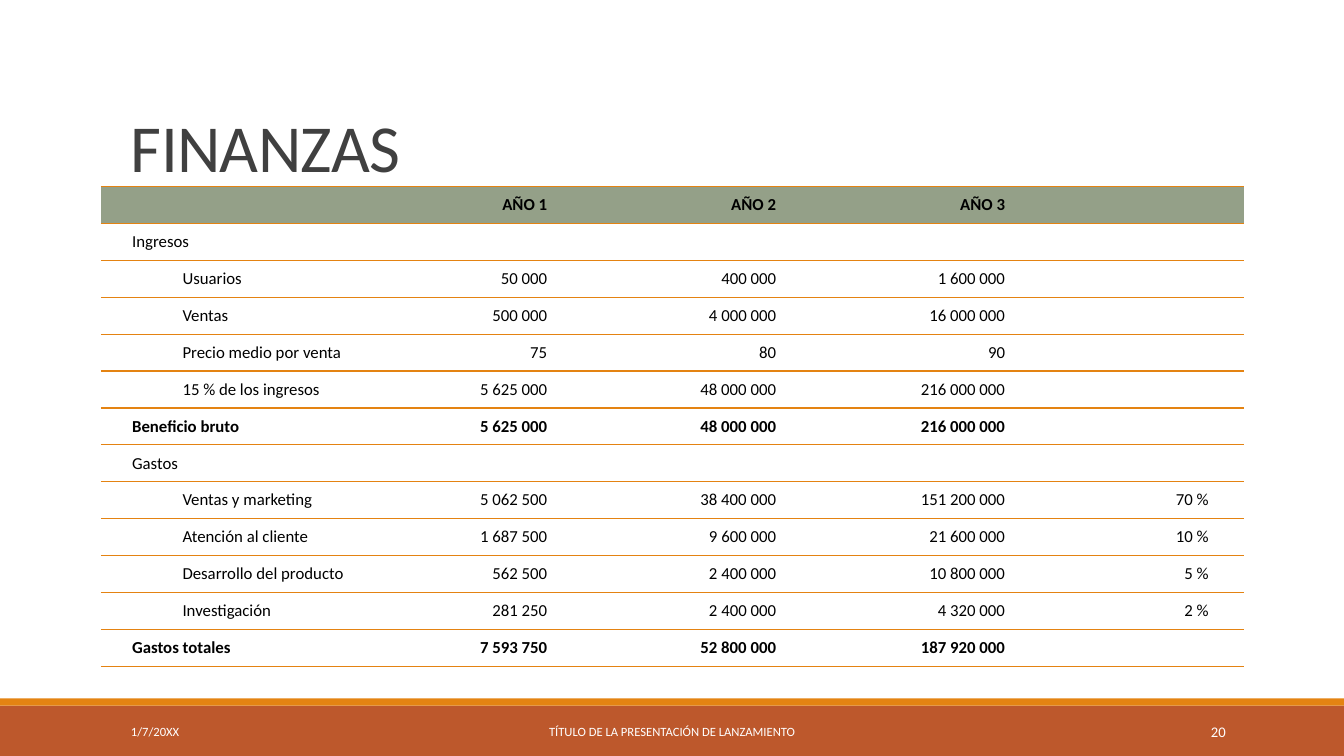
"""Build the three-year finance table slide."""
from dataclasses import dataclass

from lxml.etree import SubElement
from pptx import Presentation
from pptx.dml.color import RGBColor
from pptx.enum.shapes import MSO_SHAPE
from pptx.enum.text import MSO_ANCHOR as ANCHOR, PP_ALIGN as ALIGN
from pptx.oxml import parse_xml
from pptx.oxml.ns import nsdecls, qn
from pptx.util import Cm, Pt

FONT = "Calibri"
ORANGE, RUST, SAGE = "E48312", "BD582C", "94A088"
BLACK, WHITE, GRAY = "000000", "FFFFFF", "404040"
ROW_HEIGHT = 0.93
COLUMN_WIDTHS = (7.49, 4.01, 5.77, 5.77, 5.77)


@dataclass
class Bar:
    top: float
    height: float
    color: str


@dataclass
class Label:
    text: str
    left: float
    top: float
    width: float
    height: float
    size: float
    color: str = WHITE
    align: ALIGN = ALIGN.LEFT
    anchor: ANCHOR = ANCHOR.MIDDLE
    line_spacing: float = 1.0
    tracking: int = 0


@dataclass
class Row:
    name: str
    years: tuple = ("", "", "")
    share: str = ""
    bold: bool = False
    indented: bool = False
    fill: str = ""


BARS = [Bar(17.78, 1.27, RUST), Bar(17.6, 0.18, ORANGE)]

LABELS = [
    Label("FINANZAS", 3.05, 0.79, 27.94, 4.04, 48, GRAY,
          anchor=ANCHOR.BOTTOM, line_spacing=0.85, tracking=-50),
    Label("1/7/20XX", 3.05, 17.93, 6.86, 1.02, 9),
    Label("TÍTULO DE LA PRESENTACIÓN DE LANZAMIENTO", 10.24, 17.93, 13.39, 1.02, 9,
          align=ALIGN.CENTER),
    Label("20", 27.51, 17.93, 3.63, 1.02, 10.5, align=ALIGN.RIGHT),
]

ROWS = [
    Row("", ("AÑO 1", "AÑO 2", "AÑO 3"), bold=True, fill=SAGE),
    Row("Ingresos"),
    Row("Usuarios", ("50 000", "400 000", "1 600 000"), indented=True),
    Row("Ventas", ("500 000", "4 000 000", "16 000 000"), indented=True),
    Row("Precio medio por venta", ("75", "80", "90"), indented=True),
    Row("15 % de los ingresos", ("5 625 000", "48 000 000", "216 000 000"), indented=True),
    Row("Beneficio bruto", ("5 625 000", "48 000 000", "216 000 000"), bold=True),
    Row("Gastos"),
    Row("Ventas y marketing", ("5 062 500", "38 400 000", "151 200 000"), "70 %", indented=True),
    Row("Atención al cliente", ("1 687 500", "9 600 000", "21 600 000"), "10 %", indented=True),
    Row("Desarrollo del producto", ("562 500", "2 400 000", "10 800 000"), "5 %", indented=True),
    Row("Investigación", ("281 250", "2 400 000", "4 320 000"), "2 %", indented=True),
    Row("Gastos totales", ("7 593 750", "52 800 000", "187 920 000"), bold=True),
]


def rgb(color: str) -> RGBColor:
    return RGBColor.from_string(color)


def style_runs(p, size: float, color: str, bold: bool = False) -> None:
    for r in p.runs:
        r.font.name, r.font.size, r.font.bold = FONT, Pt(size), bold
        r.font.color.rgb = rgb(color)


def draw_bar(s, bar: Bar, width: int) -> None:
    sp = s.shapes.add_shape(MSO_SHAPE.RECTANGLE, 0, Cm(bar.top), width, Cm(bar.height))
    sp.shadow.inherit = False
    sp.fill.solid()
    sp.fill.fore_color.rgb = rgb(bar.color)
    sp.line.fill.background()


def draw_label(s, label: Label) -> None:
    sp = s.shapes.add_textbox(Cm(label.left), Cm(label.top), Cm(label.width), Cm(label.height))
    tf = sp.text_frame
    tf.word_wrap = True
    tf.vertical_anchor = label.anchor
    tf.text = label.text
    p = tf.paragraphs[0]
    p.alignment, p.line_spacing = label.align, label.line_spacing
    style_runs(p, label.size, label.color)
    if label.tracking:
        p.runs[0].font._element.set("spc", str(label.tracking))


def set_borders(cell) -> None:
    ruled = f'<a:solidFill><a:srgbClr val="{ORANGE}"/></a:solidFill>'
    fills = {"lnL": "<a:noFill/>", "lnR": "<a:noFill/>", "lnT": ruled, "lnB": ruled}
    props = cell._tc.get_or_add_tcPr()
    for i, (side, fill) in enumerate(fills.items()):
        props.insert(i, parse_xml(f'<a:{side} {nsdecls("a")} w="12700">{fill}</a:{side}>'))


def fill_cell(cell, text: str, column: int, row: Row) -> None:
    cell.text_frame.text = text
    cell.vertical_anchor = ANCHOR.MIDDLE
    cell.margin_left = Cm(0.79 if column == 0 else 0.25)
    cell.margin_right = Cm(0.89 if column == 4 else 0.25)
    cell.margin_top = cell.margin_bottom = Cm(0.13)
    p = cell.text_frame.paragraphs[0]
    p.alignment = ALIGN.RIGHT if column else ALIGN.LEFT
    if row.indented and column == 0:
        p.level = 1
        p._p.get_or_add_pPr().set("marL", str(Cm(1.27)))
    style_runs(p, 12, BLACK, row.bold)
    if not text:
        SubElement(p._p, qn("a:endParaRPr")).set("sz", "1200")
    if row.fill:
        cell.fill.solid()
        cell.fill.fore_color.rgb = rgb(row.fill)
    else:
        cell.fill.background()
    set_borders(cell)


def draw_table(s, rows: list[Row]) -> None:
    frame = s.shapes.add_table(len(rows), len(COLUMN_WIDTHS), Cm(2.54), Cm(4.7),
                               Cm(sum(COLUMN_WIDTHS)), Cm(ROW_HEIGHT * len(rows)))
    table = frame.table
    table.horz_banding = False
    for column, width in zip(table.columns, COLUMN_WIDTHS):
        column.width = Cm(width)
    for i, row in enumerate(rows):
        table.rows[i].height = Cm(ROW_HEIGHT)
        for j, text in enumerate((row.name, *row.years, row.share)):
            fill_cell(table.cell(i, j), text, j, row)


def main() -> None:
    prs = Presentation()
    prs.slide_width, prs.slide_height = Cm(33.87), Cm(19.05)
    s = prs.slides.add_slide(prs.slide_layouts[6])
    for bar in BARS:
        draw_bar(s, bar, prs.slide_width)
    draw_table(s, ROWS)
    for label in LABELS:
        draw_label(s, label)
    prs.save("out.pptx")


if __name__ == "__main__":
    main()
